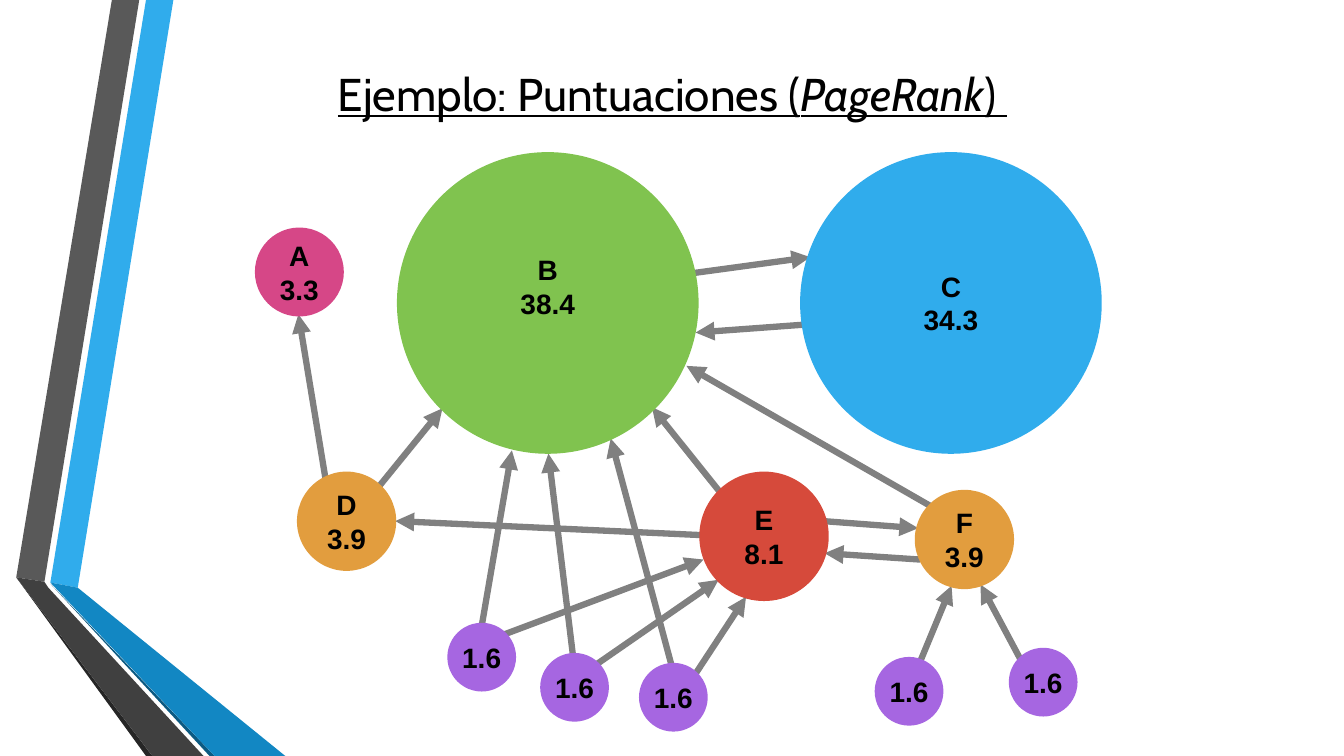
import pptx
import pptx.dml.color
import pptx.enum.shapes
import pptx.enum.text
import pptx.oxml.ns
import pptx.util
from lxml import etree

Cm = pptx.util.Cm
Pt = pptx.util.Pt

COLOURS = {
    "text": "000000", "arrow": "808080",
    "green": "80C34F", "blue": "30ACEC", "red": "D64A3B",
    "orange": "E29D3E", "pink": "D64787", "purple": "A666E1",
    "grey": "595959", "dark_grey": "404040", "grey_edge": "262626",
    "deep_blue": "1287C3", "blue_edge": "0C5A82",
}

RIBBONS = [
    ("blue", [(1.27, 14.68), (1.96, 14.81), (4.37, 0), (3.68, 0)]),
    ("grey", [(3.51, 0), (2.82, 0), (0.41, 14.55), (1.12, 14.66)]),
    ("grey_edge", [(0.41, 14.55), (3.68, 19.05), (3.84, 19.05)]),
    ("blue_edge", [(1.27, 14.71), (5.28, 19.05), (5.41, 19.05)]),
    ("deep_blue", [(1.27, 14.68), (5.41, 19.05), (7.19, 19.05), (1.96, 14.81)]),
    ("dark_grey", [(5.13, 19.05), (1.22, 14.81), (1.12, 14.66),
                   (0.41, 14.55), (3.84, 19.05)]),
]

LINKS = [
    ((10.95, 2.94), (13.89, 2.54)),
    ((13.74, 4.24), (11, 4.44)),
    ((11.63, 8.48), (9.9, 6.32)),
    ((2.97, 8.38), (4.62, 6.35)),
    ((1.67, 8.1), (0.99, 3.98)),
    ((5.61, 11.83), (6.37, 7.41)),
    ((6.14, 12.06), (11.2, 10.16)),
    ((11.28, 9.55), (3.43, 9.19)),
    ((7.92, 12.67), (7.29, 7.49)),
    ((8.43, 12.85), (11.58, 10.67)),
    ((10.97, 13.08), (12.27, 11.1)),
    ((10.44, 13), (8.86, 7.11)),
    ((16.61, 12.85), (17.45, 10.82)),
    ((19.2, 12.7), (18.18, 10.79)),
    ((16.97, 8.84), (10.77, 5.28)),
    ((16.66, 10.16), (14.25, 10)),
    ((14.2, 9.19), (16.61, 9.37)),
]

PAGES = [
    (["B", "38.4"], "green", 3.58, 0, 7.39, 0.85),
    (["C", "34.3"], "blue", 13.74, 0, 7.39, 0),
    (["E", "8.1"], "red", 11.2, 8.05, 3.05, 0),
    (["F", "3.9"], "orange", 16.63, 8.51, 2.29, 0),
    (["D", "3.9"], "orange", 1.06, 8.05, 2.29, 0),
    (["A", "3.3"], "pink", 0, 1.9, 2.03, 0),
] + [
    (["1.6"], "purple", x, y, 1.52, 0)
    for x, y in [(4.85, 11.86), (7.19, 12.62), (9.68, 12.87),
                 (15.62, 12.72), (19, 12.49)]
]


def rgb(name):
    """Return the named colour."""
    return pptx.dml.color.RGBColor.from_string(COLOURS[name])


def add_run(paragraph, text, font, size):
    """Add a black run to a centred paragraph and return its font."""
    paragraph.alignment = pptx.enum.text.PP_ALIGN.CENTER
    run = paragraph.add_run()
    run.text = text
    run.font.name = font
    run.font.size = Pt(size)
    run.font.color.rgb = rgb("text")
    return run.font


def draw_ribbons(slide, left, top):
    """Draw the folded ribbons from the given corner."""
    for colour, corners in RIBBONS:
        points = [(Cm(left + x), Cm(top + y)) for x, y in corners]
        builder = slide.shapes.build_freeform(*points[0])
        builder.add_line_segments(points[1:], close=True)
        ribbon = builder.convert_to_shape()
        ribbon.shadow.inherit = False
        ribbon.fill.solid()
        ribbon.fill.fore_color.rgb = rgb(colour)
        ribbon.line.fill.background()


def draw_title(slide, left, top, width, height):
    """Write the underlined title in its box."""
    title = slide.shapes.add_textbox(Cm(left), Cm(top), Cm(width), Cm(height))
    frame = title.text_frame
    frame.word_wrap = True
    frame.vertical_anchor = pptx.enum.text.MSO_ANCHOR.MIDDLE
    for text, italic in [("Ejemplo: Puntuaciones (", False),
                         ("PageRank", True), (") ", False)]:
        font = add_run(frame.paragraphs[0], text, "Cabin", 32.8)
        font.underline = True
        font.italic = italic


def draw_link(slide, start, end):
    """Draw an arrow between two points in centimetres."""
    link = slide.shapes.add_connector(
        pptx.enum.shapes.MSO_CONNECTOR.STRAIGHT, *map(Cm, start + end))
    link.line.color.rgb = rgb("arrow")
    link.line.width = Pt(4.5)
    qn = pptx.oxml.ns.qn
    etree.SubElement(link.line._get_or_add_ln(), qn("a:tailEnd"), type="triangle")
    etree.SubElement(link._element.spPr, qn("a:effectLst"))


def draw_page(slide, lines, colour, left, top, diameter, lift):
    """Draw a page as a circle with its letter and score."""
    page = slide.shapes.add_shape(
        pptx.enum.shapes.MSO_SHAPE.OVAL,
        Cm(left), Cm(top), Cm(diameter), Cm(diameter))
    page.shadow.inherit = False
    page.fill.solid()
    page.fill.fore_color.rgb = rgb(colour)
    page.line.color.rgb = rgb(colour)
    page.line.width = Pt(6)
    frame = page.text_frame
    frame.word_wrap = False
    frame.vertical_anchor = pptx.enum.text.MSO_ANCHOR.MIDDLE
    frame.margin_left = frame.margin_right = frame.margin_top = 0
    frame.margin_bottom = Cm(lift)
    for index, text in enumerate(lines):
        paragraph = frame.add_paragraph() if index else frame.paragraphs[0]
        add_run(paragraph, text, "Arial", 20).bold = True


def draw_graph(slide, left, top):
    """Draw the links and then the pages from the given corner."""
    for (x1, y1), (x2, y2) in LINKS:
        draw_link(slide, (left + x1, top + y1), (left + x2, top + y2))
    for lines, colour, x, y, diameter, lift in PAGES:
        draw_page(slide, lines, colour, left + x, top + y, diameter, lift)


def main():
    """Build and save the slide."""
    deck = pptx.Presentation()
    deck.slide_width, deck.slide_height = Cm(33.87), Cm(19.05)
    slide = deck.slides.add_slide(deck.slide_layouts[6])
    draw_ribbons(slide, 0, 0)
    draw_title(slide, 5.51, 0.76, 22.86, 3.94 - 0.76)
    draw_graph(slide, 6.53, 3.94)
    deck.save("out.pptx")


if __name__ == "__main__":
    main()
